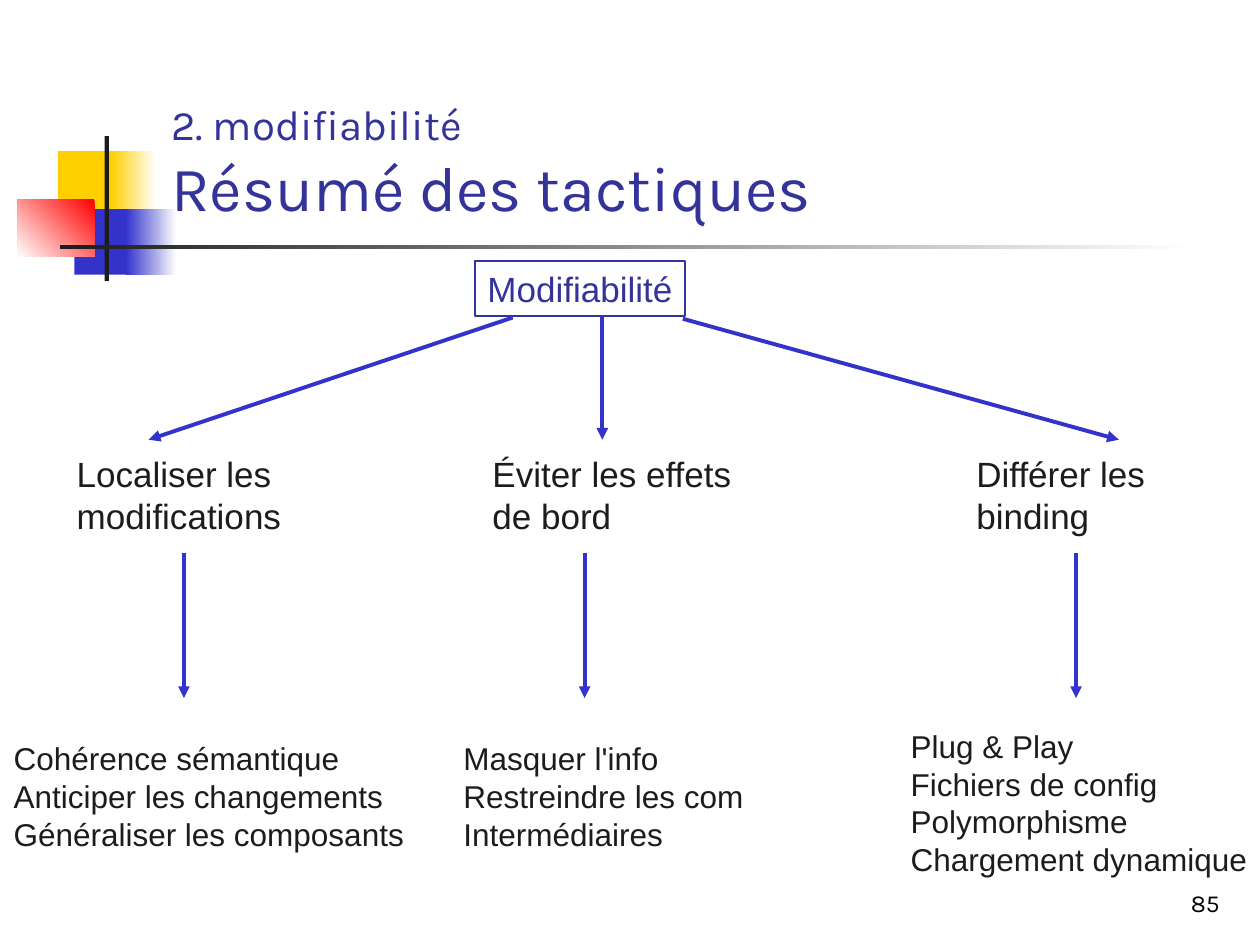
from dataclasses import dataclass

from lxml.etree import SubElement as Sub
from pptx import Presentation
from pptx.dml.color import RGBColor as Rgb
from pptx.enum.shapes import MSO_CONNECTOR as Link, MSO_SHAPE as Form
from pptx.enum.text import MSO_ANCHOR as Anchor, MSO_AUTO_SIZE as Fit, PP_ALIGN as Align
from pptx.oxml.ns import qn
from pptx.util import Inches, Pt

COLS, ROWS = 100, 75


@dataclass(frozen=True)
class Theme:
    white: str = "FFFFFF"
    black: str = "000000"
    ink: str = "1C1C1C"
    navy: str = "333399"
    blue: str = "3333CC"
    gold: str = "FFCF01"
    red: str = "FF0000"
    head: str = "Karla"
    body: str = "Arial"
    title: int = 36
    over: int = 24
    node: int = 20
    item: int = 18
    foot: int = 14
    edge: float = 1
    arrow: float = 2.25


def write(frame, lines, *, sizes, font, color, align=None, soft=False):
    """Fill a frame with lines, as paragraphs or with soft breaks."""
    par = frame.paragraphs[0]
    for i, line in enumerate(lines):
        if i and soft:
            par.add_line_break()
        elif i:
            par = frame.add_paragraph()
        if align is not None:
            par.alignment = align
        run = par.add_run()
        run.text = line
        run.font.size = Pt(sizes[min(i, len(sizes) - 1)])
        run.font.name = font
        run.font.color.rgb = Rgb.from_string(color)


class Board:
    def __init__(self, deck, theme):
        self.theme = theme
        self.wide, self.high = deck.slide_width, deck.slide_height
        self.slide = deck.slides.add_slide(deck.slide_layouts[6])
        self.shapes = self.slide.shapes

    def x(self, col):
        return round(self.wide * col / COLS)

    def y(self, row):
        return round(self.high * row / ROWS)

    def area(self, col, row, cols, rows):
        return self.x(col), self.y(row), self.x(cols), self.y(rows)

    def block(self, *area, fill=None, fade=None, angle=180, line=None):
        """Rectangle with a plain fill, a two-colour fade or no fill."""
        box = self.shapes.add_shape(Form.RECTANGLE, *self.area(*area))
        box.shadow.inherit = False
        if fade:
            box.fill.gradient()
            box.fill.gradient_angle = angle
            for stop, color in zip(box.fill.gradient_stops, fade):
                stop.color.rgb = Rgb.from_string(color)
        elif fill:
            box.fill.solid()
            box.fill.fore_color.rgb = Rgb.from_string(fill)
        else:
            box.fill.background()
        if line:
            box.line.color.rgb = Rgb.from_string(line)
            box.line.width = Pt(self.theme.edge)
        else:
            box.line.fill.background()
        return box

    def label(self, *area, lines, wrap=False, anchor=Anchor.TOP, **form):
        box = self.shapes.add_textbox(*self.area(*area))
        frame = box.text_frame
        frame.word_wrap = wrap
        frame.auto_size = Fit.NONE if wrap else Fit.SHAPE_TO_FIT_TEXT
        frame.vertical_anchor = anchor
        write(frame, lines, **form)

    def arrow(self, col, row, to_col, to_row):
        link = self.shapes.add_connector(
            Link.STRAIGHT, self.x(col), self.y(row), self.x(to_col), self.y(to_row))
        link.line.color.rgb = Rgb.from_string(self.theme.blue)
        link.line.width = Pt(self.theme.arrow)
        Sub(link.line._get_or_add_ln(), qn("a:tailEnd"), type="triangle")
        Sub(link._element.spPr, qn("a:effectLst"))


def main():
    deck = Presentation()
    deck.slide_width, deck.slide_height = Inches(10), Inches(7.5)
    look = Theme()
    board = Board(deck, look)

    # Corner ornament and rule
    board.block(4.6, 12, 4.8, 5.2, fill=look.gold)
    board.block(8.8, 12, 3.6, 5.2, fade=(look.white, look.gold))
    board.block(5.9, 16.6, 4.6, 5.2, fill=look.blue)
    board.block(10, 16.6, 4, 5.2, fade=(look.white, look.blue))
    board.block(1.4, 15.8, 6.1, 4.6, fade=(look.red, look.white), angle=225)
    board.block(8.3, 10.8, 0.35, 11.5, fill=look.ink)
    board.block(4.8, 19.45, 90, 0.35, fade=(look.white, look.ink))

    # Title
    board.label(12.6, 2.3, 85.2, 16, lines=("2. modifiabilité", "Résumé des tactiques"),
                sizes=(look.over, look.title), font=look.head, color=look.navy,
                wrap=True, anchor=Anchor.BOTTOM, soft=True)

    # Root of the tree
    root = board.block(37.7, 20.7, 16.7, 4.4, line=look.navy).text_frame
    root.word_wrap = False
    root.auto_size = Fit.SHAPE_TO_FIT_TEXT
    root.vertical_anchor = Anchor.TOP
    write(root, ["Modifiabilité"], sizes=[look.node], font=look.body,
          color=look.navy, align=Align.LEFT)

    # Branches: arrow from root, goal, arrow down, tactics
    plain = dict(font=look.body, color=look.ink)
    branches = (
        ((40.7, 25.2, 11.8), (5.1, 19), ("Localiser les", "modifications"), 14.6,
         (0.1, 58.2, 33, 10),
         ("Cohérence sémantique", "Anticiper les changements", "Généraliser les composants")),
        ((47.8, 25.2, 47.8), (38.1, 22), ("Éviter les effets", "de bord"), 46.4,
         (35.8, 58.2, 24.2, 10),
         ("Masquer l'info", "Restreindre les com", "Intermédiaires")),
        ((54.2, 25.3, 88.8), (76.5, 15.5), ("Différer les", "binding"), 85.4,
         (71.3, 57.2, 28.7, 13),
         ("Plug & Play", "Fichiers de config", "Polymorphisme", "Chargement dynamique")),
    )
    for (col, row, end), (left, cols), goal, stem, area, tactics in branches:
        board.arrow(col, row, end, 34.9)
        board.label(left, 35.4, cols, 7.7, lines=goal, sizes=[look.node], **plain)
        board.arrow(stem, 43.9, stem, 55.4)
        board.label(*area, lines=tactics, sizes=[look.item], **plain)

    # Page number
    board.label(77, 68.3, 20.8, 5, lines=["85"], sizes=[look.foot], font=look.head,
                color=look.black, align=Align.RIGHT, wrap=True, anchor=Anchor.BOTTOM)

    deck.save("out.pptx")


if __name__ == "__main__":
    main()
